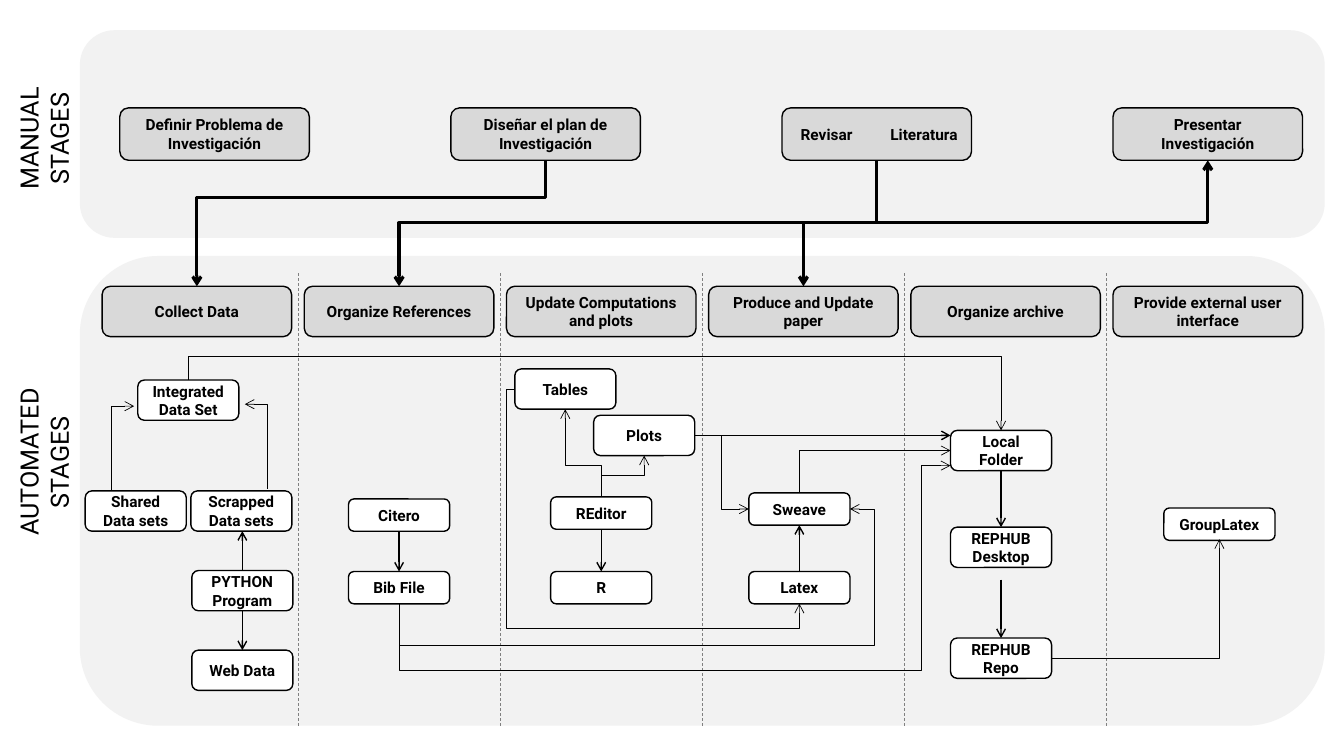
"""Build a one-slide flow chart of manual and automated research stages."""
import pptx
import pptx.dml.color
import pptx.enum.dml
import pptx.enum.shapes
import pptx.enum.text
import pptx.oxml.ns
import pptx.util
from lxml import etree

BLACK = pptx.dml.color.RGBColor(0x00, 0x00, 0x00)
WHITE = pptx.dml.color.RGBColor(0xFF, 0xFF, 0xFF)
PANEL = pptx.dml.color.RGBColor(0xF2, 0xF2, 0xF2)
STAGE = pptx.dml.color.RGBColor(0xD9, 0xD9, 0xD9)
DIVIDER = pptx.dml.color.RGBColor(0x80, 0x80, 0x80)


class FlowPage:
    """Hold the style and slide; place elements by grid column and row."""

    font = "Roboto"
    slide_width = pptx.util.Inches(13.33)
    slide_height = pptx.util.Inches(7.5)
    margin = pptx.util.Inches(0.95)
    column = (slide_width - 2 * margin) / 22.8
    row = slide_height / 75

    def __init__(self, deck):
        """Set the slide size and add a blank slide."""
        deck.slide_width, deck.slide_height = self.slide_width, self.slide_height
        self.page = deck.slides.add_slide(deck.slide_layouts[6])

    def point(self, column, row):
        """Return the place of a grid point on the slide."""
        return round(self.margin + column * self.column), round(row * self.row)

    def frame(self, column, row, columns, rows):
        """Return left, top, width and height around a grid centre."""
        left, top = self.point(column - columns / 2, row - rows / 2)
        return left, top, round(columns * self.column), round(rows * self.row)

    def caption(self, shape, text, size, bold):
        """Fill a shape with centred text."""
        frame = shape.text_frame
        frame.word_wrap = True
        frame.margin_top = frame.margin_bottom = 0
        frame.vertical_anchor = pptx.enum.text.MSO_ANCHOR.MIDDLE
        frame.text = text
        para = frame.paragraphs[0]
        para.alignment = pptx.enum.text.PP_ALIGN.CENTER
        for span in para.runs:
            span.font.name, span.font.size = self.font, pptx.util.Pt(size)
            span.font.bold, span.font.color.rgb = bold, BLACK

    def box(self, text, column, row, columns, rows, fill=WHITE):
        """Add an outlined rounded box with a caption."""
        box = self.panel(column, row, columns, rows, fill)
        box.line.color.rgb = BLACK
        box.line.width = pptx.util.Pt(1)
        self.caption(box, text, 11, True)
        return box

    def panel(self, column, row, columns, rows, fill=PANEL):
        """Add a plain rounded panel."""
        panel = self.page.shapes.add_shape(
            pptx.enum.shapes.MSO_SHAPE.ROUNDED_RECTANGLE,
            *self.frame(column, row, columns, rows))
        panel.shadow.inherit = False
        panel.fill.solid()
        panel.fill.fore_color.rgb = fill
        panel.line.fill.background()
        return panel

    def side_label(self, text, column, row, columns, rows):
        """Add a label that reads upwards."""
        label = self.page.shapes.add_textbox(*self.frame(column, row, columns, rows))
        label.rotation = 270
        self.caption(label, text, 18, False)

    def tab_gap(self, box, inset, stop):
        """Set the words of a box apart with a tab stop."""
        box.text_frame.margin_left = pptx.util.Inches(inset)
        para = box.text_frame.paragraphs[0]
        para.alignment = pptx.enum.text.PP_ALIGN.LEFT
        properties = para._p.get_or_add_pPr()
        tabs = etree.SubElement(properties, pptx.oxml.ns.qn("a:tabLst"))
        etree.SubElement(tabs, pptx.oxml.ns.qn("a:tab"),
                         pos=str(pptx.util.Inches(stop)), algn="l")

    def route(self, points, width, color=BLACK, ends=("tailEnd",), dash=None):
        """Add a straight or elbow connector through grid points."""
        places = [self.point(*point) for point in points]
        kinds = pptx.enum.shapes.MSO_CONNECTOR
        kind = kinds.STRAIGHT if len(points) == 2 else kinds.ELBOW
        line = self.page.shapes.add_connector(kind, *places[0], *places[-1])
        if kind == kinds.ELBOW:
            self.bend(line, places)
        line.line.color.rgb = color
        line.line.width = pptx.util.Pt(width)
        if dash:
            line.line.dash_style = dash
        for end in ends:
            etree.SubElement(line.line._get_or_add_ln(),
                             pptx.oxml.ns.qn("a:" + end), type="arrow")
        etree.SubElement(line._element.spPr, pptx.oxml.ns.qn("a:effectLst"))

    def bend(self, line, places):
        """Turn, flip and adjust an elbow connector to follow its corners."""
        start, end = places[0], places[-1]
        along = 0 if places[1][1] == start[1] else 1
        across = 1 - along
        spans = [end[axis] - start[axis] for axis in (0, 1)]
        length, breadth = abs(spans[along]), abs(spans[across])
        line.left = (start[0] + end[0] - length) // 2
        line.top = (start[1] + end[1] - breadth) // 2
        line.width, line.height = length, breadth
        line.rotation = 90 * along
        transform = line._element.spPr.find(pptx.oxml.ns.qn("a:xfrm"))
        transform.set("flipH", str(int(spans[along] < 0)))
        transform.set("flipV", str(int((spans[across] < 0) != bool(along))))
        geometry = line._element.spPr.find(pptx.oxml.ns.qn("a:prstGeom"))
        geometry.set("prst", f"bentConnector{len(places) - 1}")
        guides = geometry.find(pptx.oxml.ns.qn("a:avLst"))
        for number in range(1, len(places) - 2):
            axis = along if number % 2 else across
            share = round(100000 * (places[number][axis] - start[axis]) / spans[axis]) \
                if number == 1 else \
                round(100000 * (places[2][axis] - start[axis]) / spans[axis])
            etree.SubElement(guides, pptx.oxml.ns.qn("a:gd"),
                             name=f"adj{number}", fmla=f"val {share}")


MANUAL = ["Definir Problema de Investigación", "Diseñar el plan de Investigación",
          "Revisar\tLiteratura", "Presentar Investigación"]
AUTOMATED = ["Collect Data", "Organize References", "Update Computations and plots",
             "Produce and Update paper", "Organize archive",
             "Provide external user interface"]
STEPS = [
    ("Shared Data sets", 0.79, 50.7, 2, 4), ("Scrapped Data sets", 2.88, 50.7, 2, 4),
    ("Web Data", 2.9, 66.5, 2, 4), ("PYTHON Program", 2.9, 58.6, 2, 4),
    ("Integrated Data Set", 1.83, 39.7, 2, 4), ("REPHUB Repo", 17.91, 65.3, 2, 4),
    ("Local Folder", 17.91, 44.7, 2, 4), ("REPHUB Desktop", 17.91, 54.3, 2, 4),
    ("R", 10, 58.3, 2, 3.2), ("REditor", 10, 50.9, 2, 3.2),
    ("Latex", 13.92, 58.3, 2, 3.2), ("Sweave", 13.92, 50.5, 2, 3.2),
    ("Citero", 6, 51.1, 2, 3.2), ("Bib File", 6, 58.3, 2, 3.2),
    ("GroupLatex", 22.23, 52, 2.2, 3.2),
    ("Tables", 9.29, 38.6, 2, 4), ("Plots", 10.85, 43.2, 2, 4),
]
STAGE_ROUTES = [
    (8.9, 19.6, 2, ["tailEnd"]), (15.45, 22.1, 6, ["tailEnd"]),
    (22, 22.1, 14, ["headEnd", "tailEnd"]),
]
STRAIGHT_ROUTES = [
    [(2.9, 60.6), (2.9, 64.5)], [(2.9, 56.6), (2.9, 52.7)],
    [(17.91, 46.7), (17.91, 52.3)], [(17.91, 57.5), (17.91, 63.3)],
    [(6, 52.7), (6, 56.7)], [(10, 52.5), (10, 56.7)],
    [(11.85, 43.2), (16.91, 43.2)], [(13.92, 56.7), (13.92, 52.1)],
]
ELBOW_ROUTES = [
    [(3.39, 48.5), (3.39, 40.1), (2.95, 40.1)],
    [(0.3, 48.7), (0.3, 40.3), (0.76, 40.3)],
    [(1.83, 37.7), (1.83, 35.4), (17.91, 35.4), (17.91, 42.7)],
    [(18.91, 65.3), (22.23, 65.3), (22.23, 53.5)],
    [(10, 49.3), (10, 46.2), (9.29, 46.2), (9.29, 40.6)],
    [(10, 49.3), (10, 47.2), (10.85, 47.2), (10.85, 45.2)],
    [(8.29, 38.6), (8.12, 38.6), (8.12, 62.3), (13.92, 62.3), (13.92, 59.9)],
    [(11.85, 43.2), (12.38, 43.2), (12.38, 50.5), (12.92, 50.5)],
    [(6, 59.9), (6, 64), (15.41, 64), (15.41, 50.5), (14.92, 50.5)],
    [(6, 59.9), (6, 66.5), (16.33, 66.5), (16.33, 46.2), (16.91, 46.2)],
    [(13.92, 48.9), (13.92, 44.7), (16.91, 44.7)],
]

deck = pptx.Presentation()
flow = FlowPage(deck)
flow.panel(12, 13.3, 24.63, 20.6)
flow.panel(12, 48.7, 24.63, 46.6)
flow.side_label("MANUAL STAGES", -1.03, 13.75, 3.7, 7.1)
flow.side_label("AUTOMATED STAGES", -1.03, 45.85, 3.87, 7.1)
manual_boxes = [flow.box(text, 2.35 + 6.55 * index, 13.3, 3.75, 5.2, STAGE)
                for index, text in enumerate(MANUAL)]
flow.tab_gap(manual_boxes[2], 0.16, 0.89)
for index, text in enumerate(AUTOMATED):
    flow.box(text, 2 + 4 * index, 30.9, 3.75, 5, STAGE)
for source, turn, target, ends in STAGE_ROUTES:
    flow.route([(source, 15.9), (source, turn), (target, turn), (target, 28.4)],
               2.25, ends=ends)
for index in range(1, len(AUTOMATED)):
    flow.route([(4 * index, 27.1), (4 * index, 72)], 0.5, DIVIDER, (),
               pptx.enum.dml.MSO_LINE.DASH)
for step in STEPS:
    flow.box(*step)
for points in STRAIGHT_ROUTES:
    flow.route(points, 1)
for points in ELBOW_ROUTES:
    flow.route(points, 0.5)
deck.save("out.pptx")
